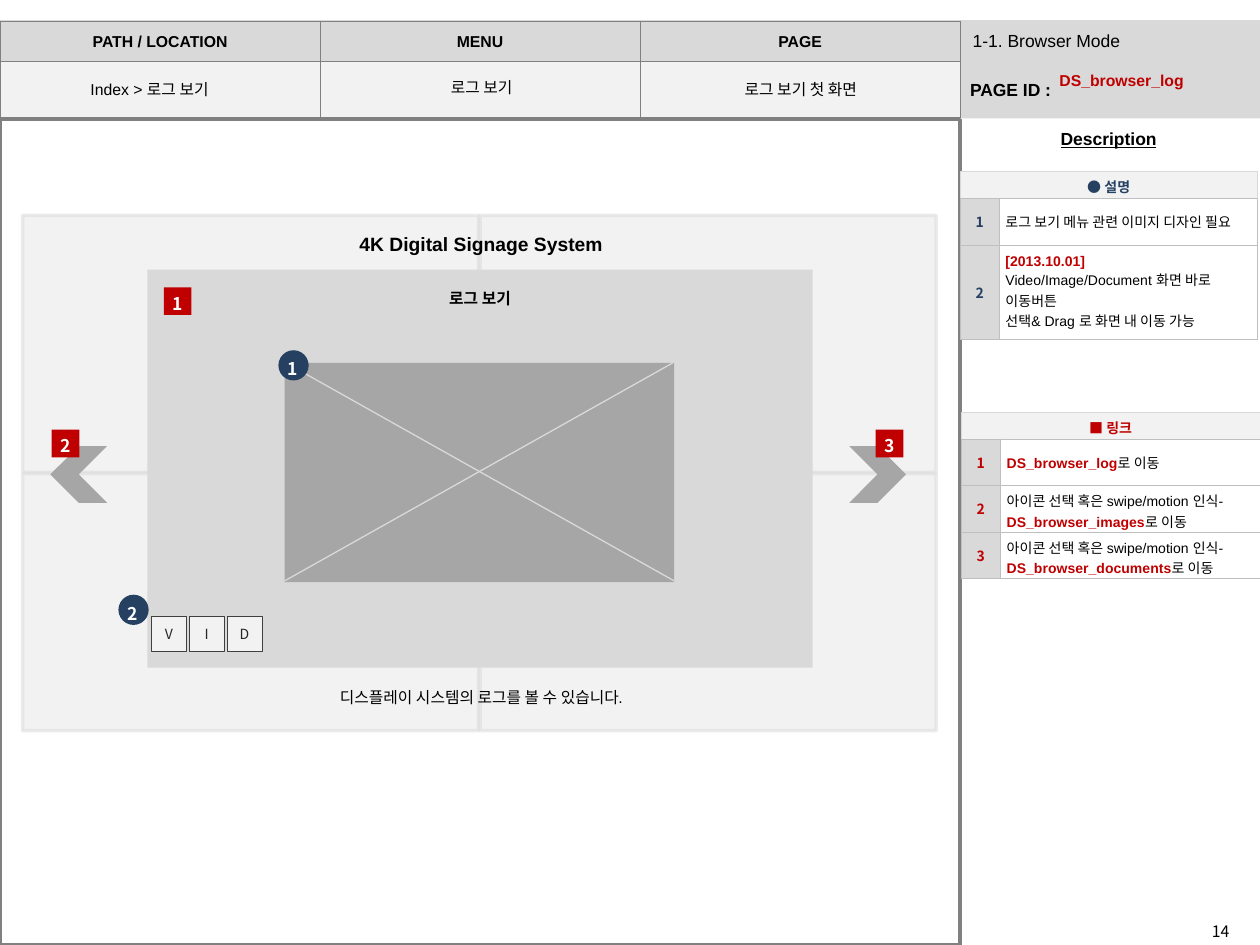
from lxml import etree
from pptx import Presentation
from pptx.dml.color import RGBColor
from pptx.enum.shapes import MSO_CONNECTOR, MSO_SHAPE
from pptx.enum.text import MSO_ANCHOR, MSO_AUTO_SIZE, PP_ALIGN
from pptx.oxml.ns import qn
from pptx.util import Inches, Pt

RECTANGLE, OVAL, CHEVRON = MSO_SHAPE.RECTANGLE, MSO_SHAPE.OVAL, MSO_SHAPE.CHEVRON
LEFT, CENTER = PP_ALIGN.LEFT, PP_ALIGN.CENTER
TOP, MIDDLE = MSO_ANCHOR.TOP, MSO_ANCHOR.MIDDLE
STRAIGHT = MSO_CONNECTOR.STRAIGHT
FIXED_SIZE = MSO_AUTO_SIZE.NONE
ARIAL, KOREAN = "Arial", "Noto Sans CJK KR"
BLACK, WHITE, RED, NAVY = "000000", "FFFFFF", "C00000", "254061"
PALE, LIGHT, SILVER, GRAY, DARK = "F2F2F2", "D9D9D9", "BFBFBF", "A6A6A6", "808080"
CELL_MARGINS = {"margin_left": Inches(0.05), "margin_right": Inches(0.05),
                "margin_top": Inches(0.04), "margin_bottom": Inches(0.04)}


def colour(hex_value):
    return RGBColor.from_string(hex_value)


def set_values(target, values):
    for name, value in values.items():
        setattr(target, name, value)


def place(*lengths):
    return [Inches(length) for length in lengths]


def add_run(paragraph, text, size=9, font=ARIAL, color=BLACK, bold=False, underline=False):
    run = paragraph.add_run()
    run.text = text
    set_values(run.font, {"size": Pt(size), "name": font, "bold": bold, "underline": underline})
    run.font.color.rgb = colour(color)
    east_asian = etree.SubElement(run.font._element, qn("a:ea"))
    east_asian.set("typeface", KOREAN)


def add_text(shapes, box, text, align=LEFT, spacing=None, **style):
    frame = shapes.add_textbox(*place(*box)).text_frame
    set_values(frame, {"word_wrap": True, "vertical_anchor": TOP})
    paragraph = frame.paragraphs[0]
    set_values(paragraph, {"alignment": align, "line_spacing": spacing})
    add_run(paragraph, text, **style)


def add_box(shapes, kind, box, fill=None, line=None, width=1.0):
    shape = shapes.add_shape(kind, *place(*box))
    shape.shadow.inherit = False
    if fill:
        shape.fill.solid()
        shape.fill.fore_color.rgb = colour(fill)
    else:
        shape.fill.background()
    if line:
        shape.line.color.rgb = colour(line)
        shape.line.width = Pt(width)
    else:
        shape.line.fill.background()
    return shape


def add_line(shapes, start, end):
    connector = shapes.add_connector(STRAIGHT, *place(*start, *end))
    connector.line.color.rgb = colour(LIGHT)
    connector.line.width = Pt(0.75)
    etree.SubElement(connector._element.spPr, qn("a:effectLst"))


def format_cell(cell, fill, border, width):
    """Borders come first, as the fill must follow them in the cell properties."""
    properties = cell._tc.get_or_add_tcPr()
    for side in ("lnL", "lnR", "lnT", "lnB"):
        line = etree.SubElement(properties, qn(f"a:{side}"), w=str(Pt(width)))
        solid = etree.SubElement(line, qn("a:solidFill"))
        etree.SubElement(solid, qn("a:srgbClr"), val=border)
    if fill:
        cell.fill.solid()
        cell.fill.fore_color.rgb = colour(fill)
    else:
        cell.fill.background()
    cell.vertical_anchor = MIDDLE


def write_cell(cell, paragraphs, align=LEFT):
    """Each paragraph is a list of (text, style) runs."""
    frame = cell.text_frame
    for index, runs in enumerate(paragraphs):
        paragraph = frame.add_paragraph() if index else frame.paragraphs[0]
        paragraph.alignment = align
        for text, style in runs:
            add_run(paragraph, text, **style)


def add_grid(shapes, left, top, columns, rows):
    table = shapes.add_table(len(rows), len(columns),
                             *place(left, top, sum(columns), sum(rows))).table
    set_values(table, {"first_row": False, "horz_banding": False})
    for column, width in zip(table.columns, columns):
        column.width = Inches(width)
    for row, height in zip(table.rows, rows):
        row.height = Inches(height)
    return table


def add_header_table(shapes):
    table = add_grid(shapes, 0, 0.17, [2.54] * 3, [0.32, 0.44])
    for column, label in enumerate(("PATH / LOCATION", "MENU", "PAGE")):
        for row, fill in enumerate((LIGHT, PALE)):
            format_cell(table.cell(row, column), fill, DARK, 0.5)
        write_cell(table.cell(0, column), [[(label, {"bold": True})]], CENTER)


def add_note_table(shapes, left, top, columns, heading, color, notes):
    """Notes are (row height, paragraphs) pairs, numbered from 1."""
    table = add_grid(shapes, left, top, columns, [0.21] + [height for height, _ in notes])
    label_style = {"size": 8, "font": KOREAN, "color": color, "bold": True}
    for column in range(2):
        format_cell(table.cell(0, column), PALE, LIGHT, 0.25)
    table.cell(0, 0).merge(table.cell(0, 1))
    write_cell(table.cell(0, 0), [[(heading, label_style)]], CENTER)
    for row, (_, paragraphs) in enumerate(notes, 1):
        label, body = table.cell(row, 0), table.cell(row, 1)
        format_cell(label, LIGHT, SILVER, 0.25)
        format_cell(body, None, SILVER, 0.25)
        write_cell(label, [[(str(row), label_style)]], CENTER)
        write_cell(body, paragraphs)
    for cell in table.iter_cells():
        set_values(cell, CELL_MARGINS)


def add_badge(slide, kind, left, top, number):
    size, fill, rise = (0.24, NAVY, 0.07) if kind == OVAL else (0.22, RED, 0.09)
    shapes = slide.shapes.add_group_shape().shapes
    add_box(shapes, kind, (left, top, size, size), fill)
    add_text(shapes, (left - 0.03, top - rise, 0.42, 0.32), number, spacing=1.5,
             size=10, font=KOREAN, color=WHITE, bold=True)


def add_title(slide, text):
    title = slide.shapes.title
    names = ("left", "top", "width", "height")
    set_values(title, dict(zip(names, place(7.62, 0.07, 2.38, 0.51))))
    set_values(title.text_frame, {"vertical_anchor": MIDDLE, "word_wrap": True,
                                  "auto_size": FIXED_SIZE})
    paragraph = title.text_frame.paragraphs[0]
    paragraph.alignment = LEFT
    add_run(paragraph, text, size=10)
    title._element.getparent().append(title._element)


def add_page_frame(slide):
    shapes = slide.shapes
    add_box(shapes, RECTANGLE, (0, 0.16, 10, 0.78), LIGHT)
    add_text(shapes, (7.6, 0.58, 1.02, 0.27), "PAGE ID :", size=10, bold=True)
    add_text(shapes, (8.32, 0.97, 1.17, 0.27), "Description", size=10, bold=True, underline=True)
    add_box(shapes, RECTANGLE, (0, 0.95, 7.62, 6.55), line=DARK, width=2)
    add_header_table(shapes)
    add_text(shapes, (9.52, 7.27, 0.61, 0.4), "14", font=KOREAN)
    add_text(shapes, (0.62, 0.58, 1.76, 0.25), "Index > 로그 보기")
    add_text(shapes, (3.48, 0.57, 1.03, 0.25), "로그 보기")
    add_text(shapes, (8.31, 0.51, 1.54, 0.25), "DS_browser_log", color=RED, bold=True)
    add_text(shapes, (5.67, 0.58, 1.37, 0.25), "로그 보기 첫 화면", CENTER)
    add_title(slide, "1-1. Browser Mode")


def add_screen(slide):
    shapes = slide.shapes
    for top in (1.71, 3.76):
        for left in (0.18, 3.81):
            panel = add_box(shapes, RECTANGLE, (left, top, 3.62, 2.04), PALE, LIGHT, 2)
            line_color = panel.line._ln.find(".//" + qn("a:srgbClr"))
            etree.SubElement(line_color, qn("a:alpha"), val="50000")
    add_text(shapes, (2.67, 1.79, 2.3, 0.29), "4K Digital Signage System", CENTER, size=11, bold=True)
    previous = add_box(shapes, CHEVRON, (0.4, 3.54, 0.45, 0.45), GRAY)
    previous._element.spPr.xfrm.set("flipH", "1")
    add_box(shapes, RECTANGLE, (1.17, 2.14, 5.28, 3.16), LIGHT)
    add_text(shapes, (2.53, 2.24, 2.56, 0.25), "로그 보기", CENTER, bold=True)
    add_box(shapes, CHEVRON, (6.74, 3.54, 0.45, 0.45), GRAY)
    add_box(shapes, RECTANGLE, (2.26, 2.88, 3.09, 1.74), GRAY)
    add_line(shapes, (2.27, 2.88), (5.35, 4.61))
    add_line(shapes, (2.26, 4.61), (5.34, 2.88))
    add_text(shapes, (2.39, 5.41, 2.86, 0.25), "디스플레이 시스템의 로그를 볼 수 있습니다.", CENTER)
    for index, letter in enumerate("VID"):
        button = add_box(shapes, RECTANGLE, (1.2 + 0.3 * index, 4.89, 0.28, 0.28), PALE, "404040", 0.25)
        set_values(button.text_frame, {"vertical_anchor": MIDDLE, "word_wrap": False})
        paragraph = button.text_frame.paragraphs[0]
        paragraph.alignment = CENTER
        add_run(paragraph, letter, size=8, font=KOREAN, color="262626")
    for badge in ((OVAL, 2.21, 2.78, "1"), (OVAL, 0.94, 4.72, "2"), (RECTANGLE, 1.3, 2.28, "1"),
                  (RECTANGLE, 0.41, 3.41, "2"), (RECTANGLE, 6.95, 3.41, "3")):
        add_badge(slide, *badge)


def add_descriptions(shapes):
    plain, strong = {"size": 8}, {"size": 8, "color": RED, "bold": True}
    add_note_table(shapes, 7.62, 1.36, [0.31, 2.05], "● 설명", NAVY, [
        (0.37, [[("로그 보기 메뉴 관련 이미지 디자인 필요", plain)]]),
        (0.75, [[("[2013.10.01]", strong)],
                [("Video/Image/Document 화면 바로 이동버튼", plain)],
                [("선택& Drag 로 화면 내 이동 가능", plain)]])])
    links = [("", "DS_browser_log")] + [
        ("아이콘 선택 혹은 swipe/motion 인식-", page)
        for page in ("DS_browser_images", "DS_browser_documents")]
    add_note_table(shapes, 7.63, 3.27, [0.31, 2.06], "■ 링크", RED, [
        (0.37, [[(text, style) for text, style in
                 ((action, plain), (page, strong), ("로 이동", plain)) if text]])
        for action, page in links])


def main():
    presentation = Presentation()
    set_values(presentation, {"slide_width": Inches(10), "slide_height": Inches(7.5)})
    slide = presentation.slides.add_slide(presentation.slide_layouts[5])
    add_page_frame(slide)
    add_screen(slide)
    add_descriptions(slide.shapes)
    presentation.save("out.pptx")


if __name__ == "__main__":
    main()
